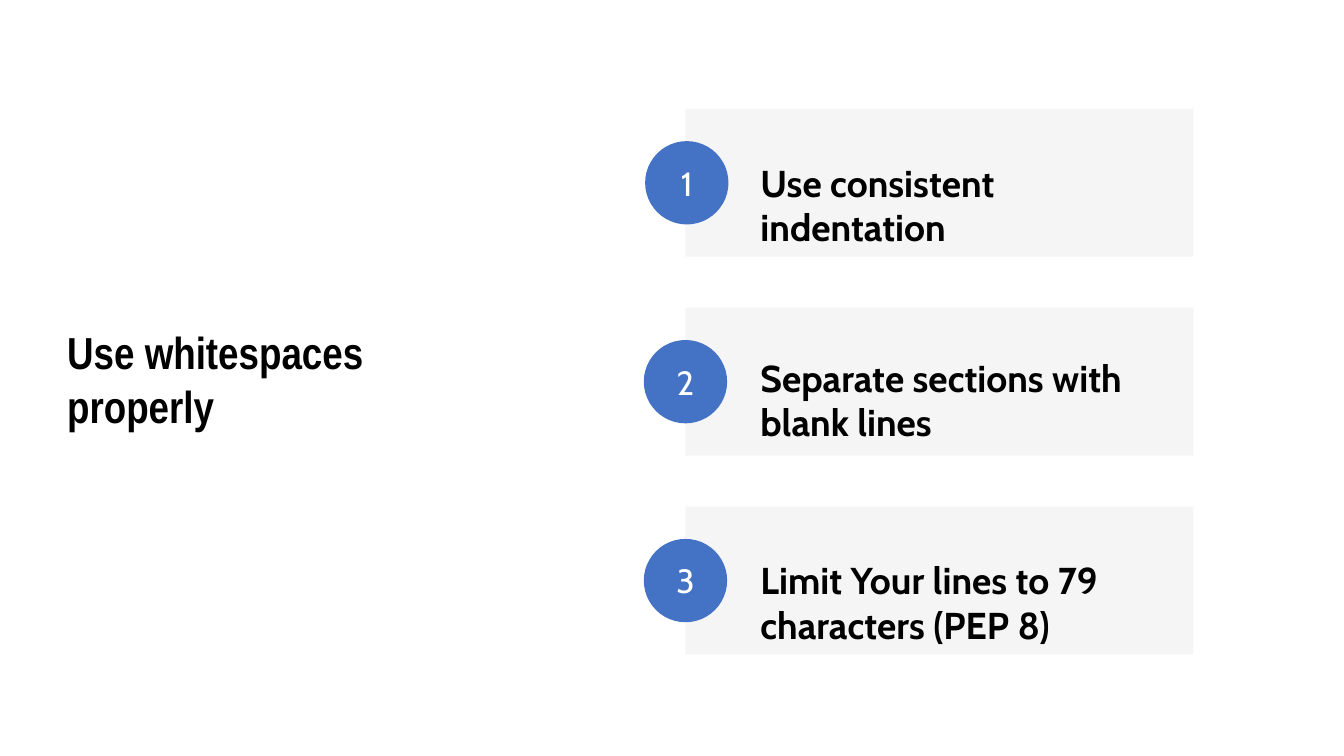
"""Build a slide with three numbered tips on using whitespace."""
from lxml import etree
from pptx import Presentation
from pptx.dml.color import RGBColor
from pptx.enum import shapes, text
from pptx.oxml import ns
from pptx.util import Inches, Pt

COLORS = {"card": "EDEDED", "badge": "4472C4", "ink": "000000", "number": "FFFFFF"}
TIPS = [
    ("Use consistent indentation", 4.8, 1.14),
    ("Separate sections with blank lines", 4.79, 2.59),
    ("Limit Your lines to 79 characters (PEP 8)", 4.79, 4.1),
]
FIRST_TOP, STEP = 0.81, 1.48


def write(box, wording, font, size, color, bold=False, align=text.PP_ALIGN.LEFT):
    """Put one formatted paragraph into a shape."""
    frame = box.text_frame
    frame.word_wrap = True
    frame.text = wording
    para = frame.paragraphs[0]
    para.alignment = align
    span = para.runs[0].font
    span.name, span.size, span.bold = font, Pt(size), bold
    span.color.rgb = RGBColor.from_string(COLORS[color])


def add_title(page, wording):
    """Move the title placeholder to the left side and fill it."""
    title = page.shapes.title
    title.left, title.top = Inches(0.4), Inches(2.15)
    title.width, title.height = Inches(2.63), Inches(1.33)
    write(title, wording, "Arial Narrow", 24, "ink", bold=True)
    title.text_frame.auto_size = text.MSO_AUTO_SIZE.NONE
    title.text_frame.vertical_anchor = text.MSO_ANCHOR.MIDDLE


def add_filled(page, kind, left, top, width, height, color):
    """Add a flat shape without an outline."""
    shape = page.shapes.add_shape(
        kind, Inches(left), Inches(top), Inches(width), Inches(height))
    shape.shadow.inherit = False
    shape.fill.solid()
    shape.fill.fore_color.rgb = RGBColor.from_string(COLORS[color])
    shape.line.fill.background()
    return shape


def add_card(page, top):
    """Add a half-transparent card."""
    card = add_filled(page, shapes.MSO_SHAPE.RECTANGLE, 5.1, top, 3.78, 1.1, "card")
    tint = card.element.spPr.find(".//" + ns.qn("a:srgbClr"))
    etree.SubElement(tint, ns.qn("a:alpha"), val="50000")


def add_badge(page, number, left, top):
    """Add a numbered circle."""
    badge = add_filled(page, shapes.MSO_SHAPE.OVAL, left, top, 0.62, 0.62, "badge")
    write(badge, str(number), "Cabin", 18, "number", align=text.PP_ALIGN.CENTER)
    badge.text_frame.vertical_anchor = text.MSO_ANCHOR.MIDDLE


def add_tip(page, wording, top):
    """Add the wording of a tip."""
    box = page.shapes.add_textbox(Inches(5.56), Inches(top), Inches(3.17), Inches(0.77))
    write(box, wording, "Cabin", 20, "ink", bold=True)
    box.text_frame.auto_size = text.MSO_AUTO_SIZE.SHAPE_TO_FIT_TEXT


def main():
    """Build and save the deck."""
    deck = Presentation()
    deck.slide_width, deck.slide_height = Inches(10), Inches(10 * 9 / 16)
    page = deck.slides.add_slide(deck.slide_layouts.get_by_name("Title Only"))
    add_title(page, "Use whitespaces properly")
    for index in range(len(TIPS)):
        add_card(page, FIRST_TOP + index * STEP)
    for index, (wording, badge_left, tip_top) in enumerate(TIPS):
        add_badge(page, index + 1, badge_left, FIRST_TOP + index * STEP + 0.24)
        add_tip(page, wording, tip_top)
    deck.save("out.pptx")


if __name__ == "__main__":
    main()
